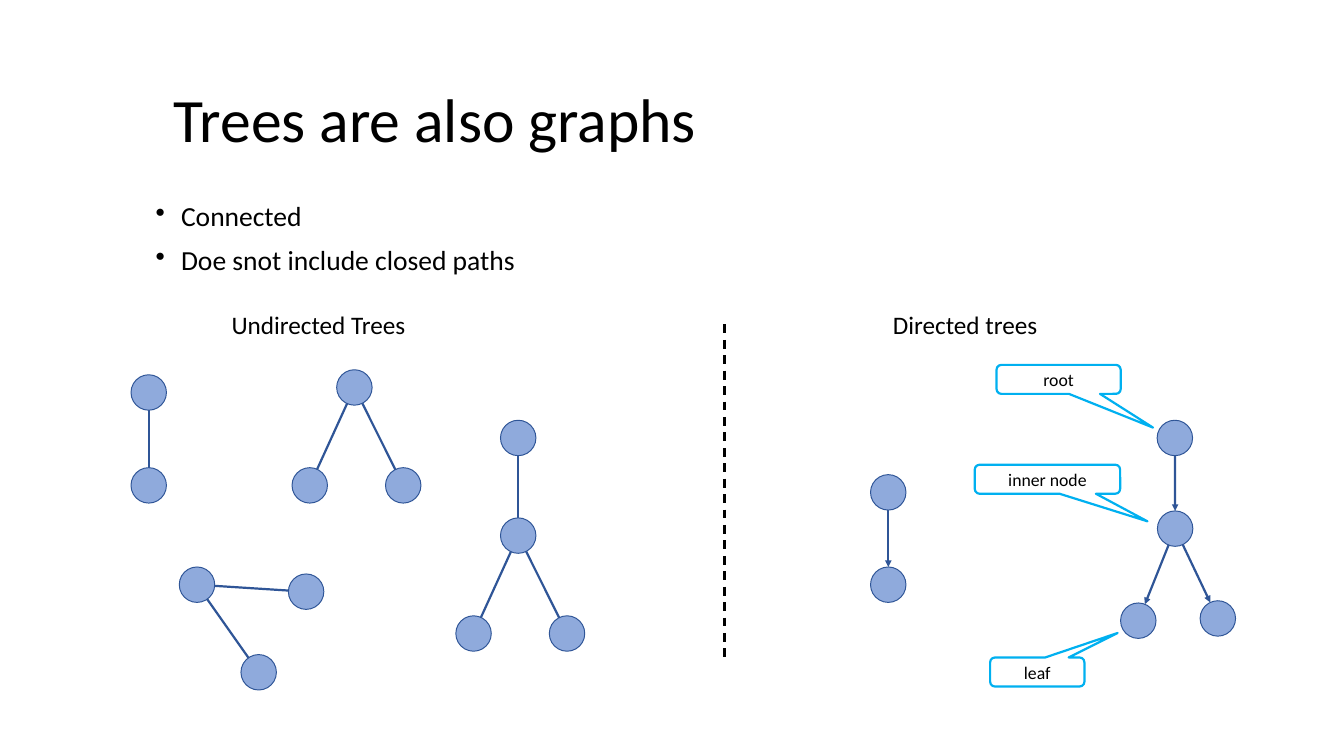
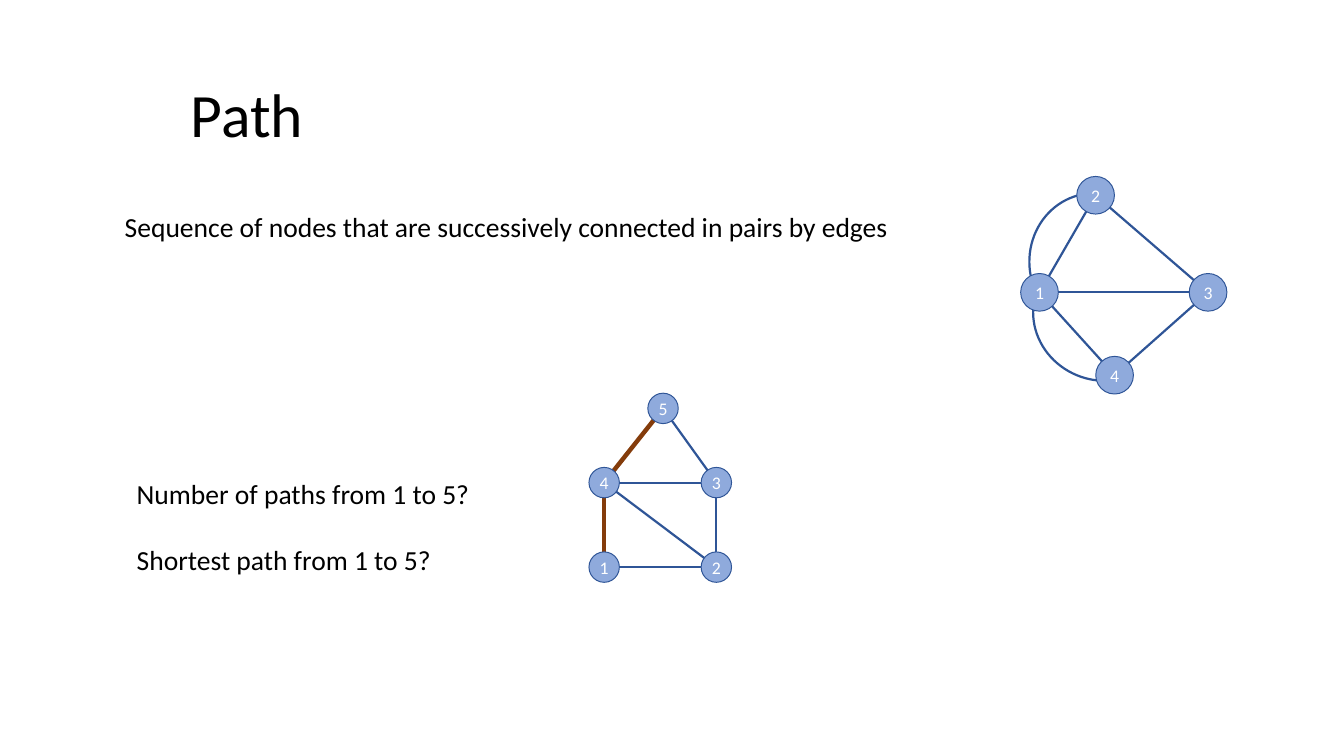
from dataclasses import dataclass
from math import hypot

from lxml.etree import SubElement
from pptx import Presentation
from pptx.dml.color import RGBColor
from pptx.enum.dml import MSO_LINE
from pptx.enum.shapes import MSO_CONNECTOR, MSO_SHAPE as Shape
from pptx.enum.text import MSO_ANCHOR as Anchor, PP_ALIGN as Align
from pptx.oxml.ns import qn
from pptx.util import Cm, Pt


@dataclass(frozen=True)
class Theme:
    font: str = "Calibri"
    ink: RGBColor = RGBColor(0x00, 0x00, 0x00)
    white: RGBColor = RGBColor(0xFF, 0xFF, 0xFF)
    node: RGBColor = RGBColor(0x8F, 0xAA, 0xDC)
    edge: RGBColor = RGBColor(0x2F, 0x55, 0x97)
    route: RGBColor = RGBColor(0x84, 0x3C, 0x0B)
    callout: RGBColor = RGBColor(0x00, 0xB0, 0xF0)
    title: float = 62.6
    body: float = 28
    heading: float = 25.6
    label: float = 18
    node_line: float = 1
    edge_line: float = 2.25
    route_line: float = 4.5


theme = Theme()


def write(shape, lines, size, colour=theme.ink, align=Align.LEFT,
          anchor=Anchor.TOP, leading=None, gap=0, bullet=False):
    """Fill a shape with one paragraph per line, gap points apart."""
    frame = shape.text_frame
    frame.word_wrap = True
    frame.vertical_anchor = anchor
    frame.text = "\n".join(lines)
    for number, para in enumerate(frame.paragraphs):
        if bullet:
            properties = para._p.get_or_add_pPr()
            properties.set("marL", str(Cm(0.91)))
            properties.set("indent", str(Cm(-0.91)))
            SubElement(properties, qn("a:buChar"), char="•")
        para.alignment = align
        if leading:
            para.line_spacing = leading
        if number:
            para.space_before = Pt(gap)
        for span in para.runs:
            span.font.name = theme.font
            span.font.size = Pt(size)
            span.font.color.rgb = colour


def add_line(page, start, end, colour, width):
    points = [Cm(value) for value in (*start, *end)]
    line = page.shapes.add_connector(MSO_CONNECTOR.STRAIGHT, *points)
    line.line.color.rgb = colour
    line.line.width = Pt(width)
    SubElement(line._element.spPr, qn("a:effectLst"))
    return line


deck = Presentation()
deck.slide_width, deck.slide_height = Cm(48.16), Cm(27.1)
blank = deck.slide_layouts[6]
trees_page = deck.slides.add_slide(blank)
path_page = deck.slides.add_slide(blank)

# Text: page, left, top, width, height, lines, options
title_style = dict(size=theme.title, anchor=Anchor.MIDDLE, leading=0.9)
body_style = dict(size=theme.body, leading=0.9, gap=14.2)
heading_style = dict(size=theme.heading)
texts = [
    (trees_page, 5.97, 2.39, 39.73, 3.99, ["Trees are also graphs"], title_style),
    (trees_page, 5.33, 7.14, 19.48, 3.81,
     ["Connected", "Doe snot include closed paths"], dict(body_style, bullet=True)),
    (trees_page, 8.05, 10.95, 7.5, 1.35, ["Undirected Trees"], heading_style),
    (trees_page, 31.75, 10.95, 7.5, 1.35, ["Directed trees"], heading_style),
    (path_page, 6.58, 1.6, 38.28, 5.23, ["Path"], title_style),
    (path_page, 4.22, 7.54, 39.73, 3.12,
     ["Sequence of nodes that are successively connected in pairs by edges"], body_style),
    (path_page, 4.65, 16.97, 15, 3.84,
     ["Number of paths from 1 to 5?", "Shortest path from 1 to 5?"],
     dict(size=theme.body, gap=34)),
]
for page, left, top, width, height, lines, style in texts:
    box = page.shapes.add_textbox(Cm(left), Cm(top), Cm(width), Cm(height))
    write(box, lines, **style)

divider = add_line(trees_page, (25.96, 11.63), (25.96, 23.57), theme.ink, theme.edge_line)
divider.line.dash_style = MSO_LINE.DASH

# Callouts: label, left, top, width, tip of the wedge
callout_height = 1.04
for label, left, top, width, tip_x, tip_y in [
    ("root", 35.71, 13.08, 4.45, 41.32, 15.33),
    ("inner node", 34.93, 16.66, 5.21, 41.12, 18.69),
    ("leaf", 35.48, 23.57, 3.38, 40.05, 22.69),
]:
    callout = trees_page.shapes.add_shape(
        Shape.ROUNDED_RECTANGULAR_CALLOUT, Cm(left), Cm(top), Cm(width), Cm(callout_height))
    callout.adjustments[0] = (tip_x - left) / width - 0.5
    callout.adjustments[1] = (tip_y - top) / callout_height - 0.5
    callout.shadow.inherit = False
    callout.fill.background()
    callout.line.color.rgb = theme.callout
    callout.line.width = Pt(theme.edge_line)
    write(callout, [label], theme.label, align=Align.CENTER, anchor=Anchor.MIDDLE)

# Curved second edges from node 1: left, top, rotation, start angle
for left, top, rotation, start_angle in [
    (36.75, 7.06, 258.9, 270),
    (37.01, 8.89, 195.5, 255.9),
]:
    arc = path_page.shapes.add_shape(Shape.ARC, Cm(left), Cm(top), Cm(5.03), Cm(4.75))
    arc.adjustments[0] = start_angle * 0.6
    arc.rotation = rotation
    arc.shadow.inherit = False
    arc.fill.background()
    arc.line.color.rgb = theme.edge
    arc.line.width = Pt(theme.edge_line)

# Graphs: page, node diameter, node centres by name, edges, highlighted edges
tree_size, multigraph_size, house_size = 1.27, 1.35, 1.09
undirected = [
    ({"a": (5.33, 14.07), "b": (5.33, 17.4)}, "ab"),
    ({"a": (12.7, 13.89), "b": (11.1, 17.4), "c": (14.45, 17.4)}, "ab ac"),
    ({"a": (7.06, 20.96), "b": (9.27, 24.1), "c": (10.97, 21.21)}, "ab ac"),
    ({"a": (18.57, 15.7), "b": (18.57, 19.2), "c": (16.97, 22.71),
      "d": (20.32, 22.71)}, "ab bc bd"),
]
directed = [
    ({"a": (31.83, 17.65), "b": (31.83, 20.96)}, "ab"),
    ({"a": (42.1, 15.7), "b": (42.11, 18.95), "c": (40.79, 22.25),
      "d": (43.64, 22.17)}, "ab bc bd"),
]
multigraph = {"1": (37.25, 10.48), "2": (39.26, 7), "3": (43.29, 10.48), "4": (39.94, 13.45)}
house = {"1": (21.65, 20.33), "2": (25.67, 20.33), "3": (25.67, 17.3),
         "4": (21.65, 17.3), "5": (23.76, 14.64)}
graphs = [(trees_page, tree_size, nodes, edges, "", arrows)
          for group, arrows in ((undirected, False), (directed, True))
          for nodes, edges in group]
graphs += [
    (path_page, multigraph_size, multigraph, "12 13 14 23 34", "", False),
    (path_page, house_size, house, "12 23 34 24 35", "14 45", False),
]

for page, size, nodes, edges, route, arrows in graphs:
    for edge in edges.split() + route.split():
        (x1, y1), (x2, y2) = nodes[edge[0]], nodes[edge[1]]
        if arrows:  # stop at the rim so that the arrowhead shows
            share = 1 - size / 2 / hypot(x2 - x1, y2 - y1)
            x2, y2 = x1 + share * (x2 - x1), y1 + share * (y2 - y1)
        on_route = edge in route.split()
        line = add_line(page, (x1, y1), (x2, y2),
                        theme.route if on_route else theme.edge,
                        theme.route_line if on_route else theme.edge_line)
        if arrows:
            SubElement(line.line._get_or_add_ln(), qn("a:tailEnd"), type="triangle")
    for name, (x, y) in nodes.items():
        node = page.shapes.add_shape(
            Shape.OVAL, Cm(x - size / 2), Cm(y - size / 2), Cm(size), Cm(size))
        node.shadow.inherit = False
        node.fill.solid()
        node.fill.fore_color.rgb = theme.node
        node.line.color.rgb = theme.edge
        node.line.width = Pt(theme.node_line)
        if page is path_page:
            frame = node.text_frame
            frame.margin_left = frame.margin_right = frame.margin_top = frame.margin_bottom = 0
            write(node, [name], theme.label, theme.white, Align.CENTER, Anchor.MIDDLE)

deck.save("out.pptx")
